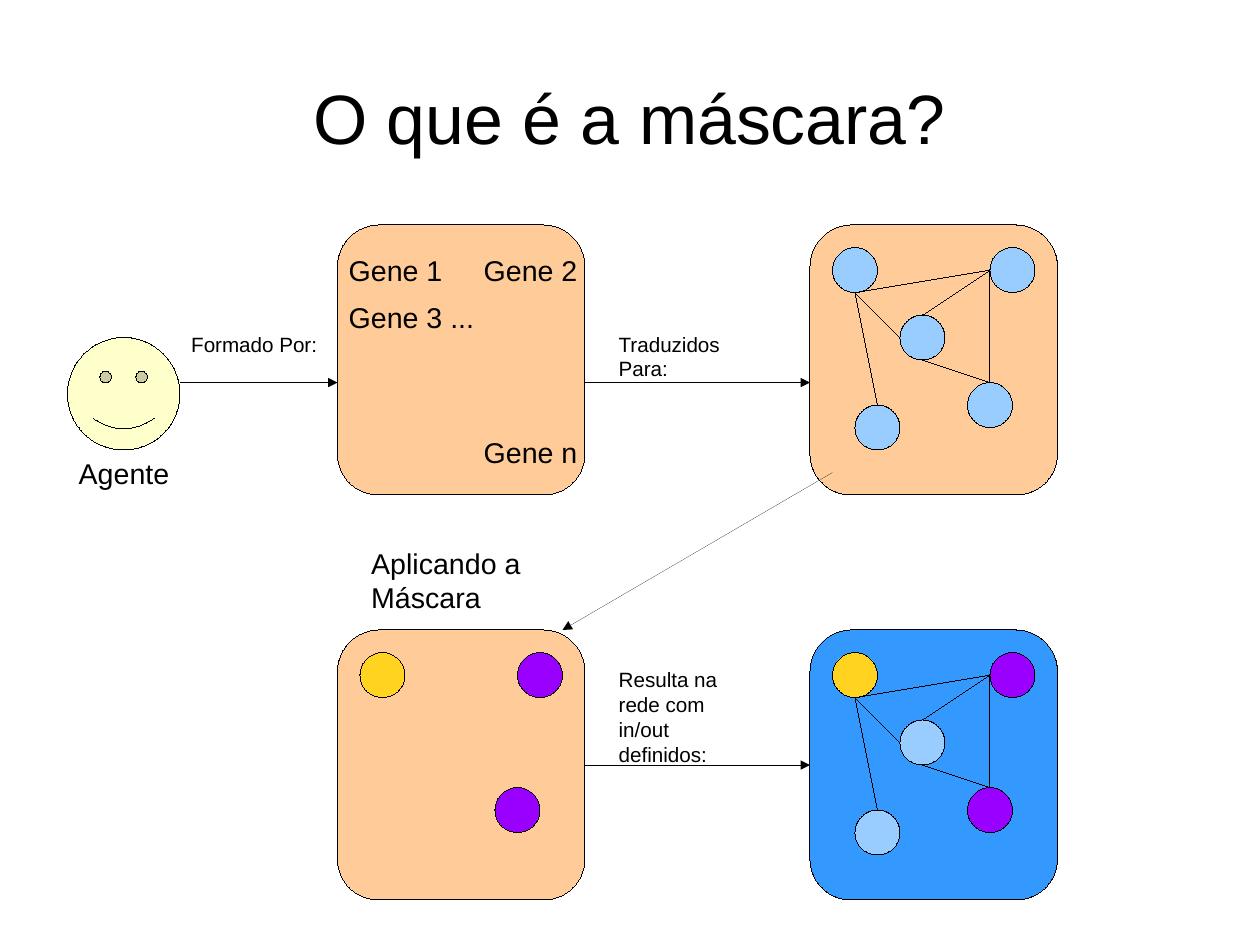
from dataclasses import dataclass

from lxml import etree
from pptx import Presentation
from pptx import util as u
from pptx.dml.color import RGBColor
from pptx.enum import shapes, text
from pptx.oxml import ns


@dataclass(frozen=True)
class Theme:
    """Colours, type sizes and line width of the slide."""
    font: str = "Arial"
    ink: str = "000000"
    peach: str = "FFCC99"
    blue: str = "3399FF"
    sky: str = "99CCFF"
    gold: str = "FFD320"
    purple: str = "9900FF"
    face: str = "FFFFCC"
    title: int = 44
    label: int = 18
    note: int = 13
    hairline: float = 0.01


THEME = Theme()
KINDS = shapes.MSO_SHAPE
UNITS_PER_INCH = 2.54
PAGE_SIZE = (28, 21)
PANEL_SIZE = (5.5, 6)
NODE = 1
NODES = {
    "input": (0.5, 0.5),
    "hidden": (2, 2),
    "lower": (1, 4),
    "upper output": (4, 0.5),
    "lower output": (3.5, 3.5),
}
ANCHORS = {"top": (0.5, 0), "left": (0, 0.5), "bottom": (0.5, 1)}
LINKS = [
    ("input", "bottom", "hidden", "left"),
    ("input", "bottom", "lower", "top"),
    ("input", "bottom", "upper output", "left"),
    ("hidden", "top", "upper output", "left"),
    ("hidden", "bottom", "lower output", "top"),
    ("upper output", "left", "lower output", "top"),
]
PLAIN = dict.fromkeys(NODES, THEME.sky)
MASK = {"input": THEME.gold, "upper output": THEME.purple, "lower output": THEME.purple}


def grid(*units):
    """Turn grid units into lengths."""
    return [u.Inches(unit / UNITS_PER_INCH) for unit in units]


def set_outline(line):
    """Give a line the thin black stroke."""
    line.color.rgb = RGBColor.from_string(THEME.ink)
    line.width = u.Pt(THEME.hairline)


def add_text(page, words, box, size=THEME.label, align=text.PP_ALIGN.LEFT,
             anchor=text.MSO_ANCHOR.TOP):
    """Write words in a box with the given format."""
    frame = page.shapes.add_textbox(*grid(*box)).text_frame
    frame.word_wrap = True
    frame.vertical_anchor = anchor
    para = frame.paragraphs[0]
    para.alignment = align
    span = para.add_run()
    span.text = words
    span.font.name = THEME.font
    span.font.size = u.Pt(size)
    span.font.color.rgb = RGBColor.from_string(THEME.ink)


def add_figure(page, kind, box, fill):
    """Draw a filled preset shape with a thin outline."""
    figure = page.shapes.add_shape(kind, *grid(*box))
    figure.shadow.inherit = False
    figure.fill.solid()
    figure.fill.fore_color.rgb = RGBColor.from_string(fill)
    set_outline(figure.line)


def add_line(page, start, end, arrow=False):
    """Draw a straight line, with an arrowhead at its end if asked."""
    line = page.shapes.add_connector(shapes.MSO_CONNECTOR.STRAIGHT, *grid(*start, *end))
    set_outline(line.line)
    properties = line._element.spPr
    if arrow:
        etree.SubElement(properties.find(ns.qn("a:ln")), ns.qn("a:tailEnd"), type="triangle")
    etree.SubElement(properties, ns.qn("a:effectLst"))


def add_panel(page, left, top, fill=THEME.peach):
    """Draw a rounded panel."""
    add_figure(page, KINDS.ROUNDED_RECTANGLE, (left, top, *PANEL_SIZE), fill)


def add_agent(page, left, top):
    """Draw the agent's face and its name."""
    add_figure(page, KINDS.SMILEY_FACE, (left, top, 2.5, 2.5), THEME.face)
    add_text(page, "Agente", (left, top + 2.5, 3, 0.96))


def add_genes(page, left, top):
    """Draw the panel that lists the genes."""
    add_panel(page, left, top)
    for words, across, down, width in [
        ("Gene 1", 0, 0.5, 3),
        ("Gene 2", 3, 0.5, 3),
        ("Gene 3 ...", 0, 1.54, 4),
        ("Gene n", 3, 4.54, 3),
    ]:
        add_text(page, words, (left + across, top + down, width, 0.96))


def add_network(page, left, top, fills, panel=THEME.peach, linked=True):
    """Draw a panel of coloured nodes and the links between them."""
    def point(name, side):
        return [origin + offset + NODE * share for origin, offset, share
                in zip((left, top), NODES[name], ANCHORS[side])]

    add_panel(page, left, top, panel)
    for name, fill in fills.items():
        across, down = NODES[name]
        add_figure(page, KINDS.OVAL, (left + across, top + down, NODE, NODE), fill)
    if linked:
        for start, start_side, end, end_side in LINKS:
            add_line(page, point(start, start_side), point(end, end_side))


def add_steps(page, middle, right, upper, lower):
    """Draw the arrows between the panels and their captions."""
    edge = middle + PANEL_SIZE[0]
    for start, end in [
        ((4, upper + 3.5), (middle, upper + 3.5)),
        ((edge, upper + 3.5), (right, upper + 3.5)),
        ((right + 0.5, upper + 5.5), (edge - 0.5, lower)),
        ((edge, lower + 3), (right, lower + 3)),
    ]:
        add_line(page, start, end, arrow=True)
    for words, box, size in [
        ("Formado Por:", (4, upper + 2.24, 3.5, 0.76), THEME.note),
        ("Traduzidos Para:", (edge + 0.5, upper + 2.24, 3.5, 1.26), THEME.note),
        ("Aplicando a Máscara", (middle + 0.5, lower - 2, 4, 1.68), THEME.label),
        ("Resulta na rede com in/out definidos:",
         (edge + 0.5, lower + 0.7, 3.5, 2.3), THEME.note),
    ]:
        add_text(page, words, box, size=size)


def main():
    """Build the slide and save it."""
    deck = Presentation()
    deck.slide_width, deck.slide_height = grid(*PAGE_SIZE)
    page = deck.slides.add_slide(deck.slide_layouts[6])
    middle, right, upper, lower = 7.5, 18, 5, 14
    add_text(page, "O que é a máscara?", (1.4, 0.84, 25.2, 3.5), size=THEME.title,
             align=text.PP_ALIGN.CENTER, anchor=text.MSO_ANCHOR.MIDDLE)
    add_agent(page, 1.5, 7.5)
    add_genes(page, middle, upper)
    add_network(page, right, upper, PLAIN)
    add_network(page, middle, lower, MASK, linked=False)
    add_network(page, right, lower, PLAIN | MASK, panel=THEME.blue)
    add_steps(page, middle, right, upper, lower)
    deck.save("out.pptx")


if __name__ == "__main__":
    main()
